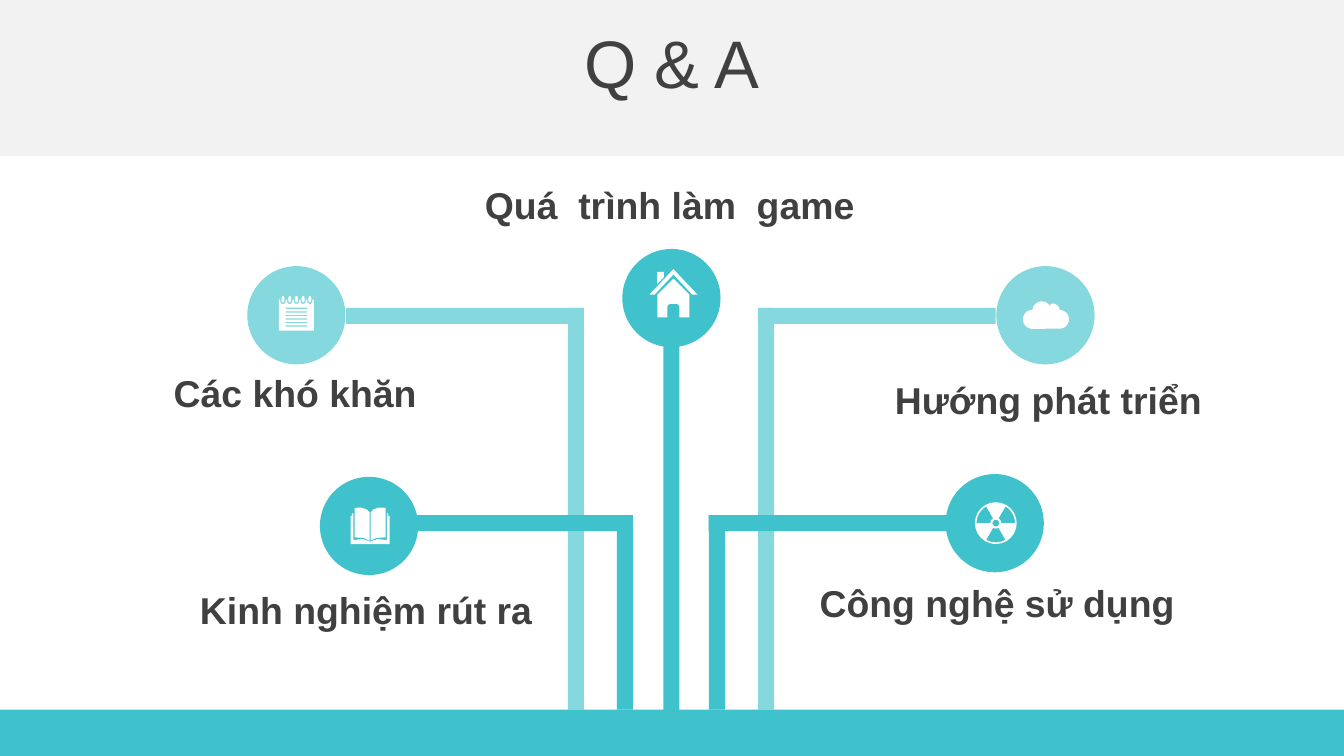
"""Build a Q & A slide with five topics branching up from a ground band."""
from math import cos, radians, sin

from pptx import Presentation
from pptx.dml.color import RGBColor
from pptx.enum.shapes import MSO_SHAPE as Preset
from pptx.enum.text import MSO_ANCHOR as Anchor, MSO_AUTO_SIZE as AutoSize, PP_ALIGN as Align
from pptx.util import Pt

WIDTH, HEIGHT = 720, 405
GROUND = 380.2
DISC, BAR, ARM = 52.6, 8.6, 127.4
TEAL, PALE, GREY, INK, WHITE = "3FC2CB", "85D8DE", "F2F2F2", "404040", "FFFFFF"

TITLE = ("Q & A", (0, 10.1, WIDTH, 45.4))
BRANCHES = [
    dict(label="Các khó khăn", box=(28.1, 194.4, 202.3, 31.7), align=Align.RIGHT,
         disc=(132.5, 142.6), stem=304.2, arm=164.9, color=PALE, icon="notepad"),
    dict(label="Hướng phát triển", box=(472.3, 198.2, 202.3, 31.7), align=Align.LEFT,
         disc=(533.8, 142.6), stem=406.1, arm=164.9, color=PALE, icon="cloud"),
    dict(label="Công nghệ sử dụng", box=(432, 306.7, 232.6, 31.7), align=Align.LEFT,
         disc=(506.6, 254), stem=379.7, arm=276, color=TEAL, icon="radiation"),
    dict(label="Kinh nghiệm rút ra", box=(90, 310.5, 202.3, 31.7), align=Align.RIGHT,
         disc=(171.4, 255.5), stem=330.5, arm=276, color=TEAL, icon="book"),
]
CENTRE = dict(label="Quá  trình làm  game", box=(252.7, 93.9, 221.8, 31.7), align=Align.LEFT,
              disc=(333.4, 133.4), stem=355.4, color=TEAL, icon="house")


def arc(x, y, radius, start, end, tall=1):
    """Return points along an arc, with angles running clockwise from the right."""
    angles = [radians(start + (end - start) * step / 24) for step in range(25)]
    return [(x + radius * cos(angle), y + radius * tall * sin(angle)) for angle in angles]


def box_outline(left, top, right, bottom):
    """Return the corners of a rectangle."""
    return [(left, top), (right, top), (right, bottom), (left, bottom)]


def notepad():
    """Return a ruled page with five binding rings."""
    rings = [-7.2 + 3.6 * index for index in range(5)]
    notches = [point for x in rings for point in
               [(x - 1.4, -8.3), *arc(x, -7.4, 1.4, 180, 0), (x + 1.4, -8.3)]]
    rules = [box_outline(-5.8, y, 5.8, y + 0.7)
             for y in [-4 + 1.9 * index for index in range(6)]]
    return [[(-9.4, -8.3), *notches, (9.4, -8.3), (9.4, 8.3), (-9.4, 8.3)], *rules,
            *[arc(x, -8.6, 0.8, 0, 360, 2.2) for x in rings]]


def cloud():
    """Return a cloud made of four arcs."""
    return [arc(-7, 2.2, 5.1, 90, 270) + arc(-2, -2.4, 5, 180, 330)
            + arc(4, -2.6, 3.6, 250, 360) + arc(7.6, 2.2, 5, 270, 450)]


def radiation():
    """Return a disc with three sectors and a hub cut out."""
    sectors = [arc(0.6, 0, 10.3, start, start + 60) + arc(0.6, 0, 2.9, start + 60, start)
               for start in (60, 180, 300)]
    return [arc(0.6, 0, 11.2, 0, 360), *sectors, arc(0.6, 0, 1.8, 0, 360)]


def book():
    """Return an open book, mirrored about its spine."""
    page = [(-8.3, -9.7), (-5, -9.9), (-2, -9), (-0.3, -7.4), (-0.3, 7.9), (-3.4, 6.4), (-8.3, 6.1)]
    cover = [(-10.4, -5.4), (-9.7, -5.4), (-9.7, -6.8), (-9, -6.8), (-9, 7.6),
             (-4, 7), (0, 8.4), (0, 9.7), (-10.4, 9.7)]
    return [[(0.6 + side * x, y) for x, y in outline]
            for outline in (page, cover) for side in (1, -1)]


def house():
    """Return walls with a door, a roof and a chimney."""
    door = arc(-0.5, 4.8, 1.6, 180, 270) + arc(2.7, 4.8, 1.6, 270, 360)
    walls = [(1.1, -10.4), (9.7, -1.8), (9.7, 10.4), (4.3, 10.4), *reversed(door),
             (-2.1, 10.4), (-7.5, 10.4), (-7.5, -1.8)]
    roof = [(1.1, -15.5), (14, -1.8), (11.2, -1.8), (1.1, -12.6), (-9, -1.8), (-11.8, -1.8)]
    chimney = [(-7.6, -14), (-4, -14), (-4, -11.2), (-7.6, -7.6)]
    return [walls, roof, chimney]


ICONS = dict(notepad=notepad, cloud=cloud, radiation=radiation, book=book, house=house)


def rgb(color):
    """Turn a hex string into a colour."""
    return RGBColor.from_string(color)


def paint(shape, color):
    """Give a shape a flat fill with no line or shadow."""
    shape.shadow.inherit = False
    shape.fill.solid()
    shape.fill.fore_color.rgb = rgb(color)
    shape.line.fill.background()


def add_block(slide, box, color, preset=Preset.RECTANGLE):
    """Add a flat preset shape."""
    paint(slide.shapes.add_shape(preset, *map(Pt, box)), color)


def add_text(slide, text, box, align, size, bold, auto_size):
    """Add one line of text in a box."""
    frame = slide.shapes.add_textbox(*map(Pt, box)).text_frame
    paragraph = frame.paragraphs[0]
    run = paragraph.add_run()
    formats = [
        (frame, dict(word_wrap=True, vertical_anchor=Anchor.MIDDLE, auto_size=auto_size)),
        (paragraph, dict(alignment=align)),
        (run, dict(text=text)),
        (run.font, dict(name="Arial", size=Pt(size), bold=bold)),
    ]
    for target, values in formats:
        for name, value in values.items():
            setattr(target, name, value)
    run.font.color.rgb = rgb(INK)


def add_disc(slide, topic):
    """Add the disc of a topic."""
    add_block(slide, (*topic["disc"], DISC, DISC), topic["color"], Preset.OVAL)


def add_icon(slide, topic):
    """Add a white icon centred on the disc of a topic."""
    left, top = topic["disc"]
    outlines = [[(Pt(left + DISC / 2 + x), Pt(top + DISC / 2 + y)) for x, y in outline]
                for outline in ICONS[topic["icon"]]()]
    builder = slide.shapes.build_freeform(*outlines[0][0], scale=1.0)
    for outline in outlines:
        builder.move_to(*outline[0])
        builder.add_line_segments(outline[1:], close=True)
    paint(builder.convert_to_shape(), WHITE)


def add_label(slide, topic):
    """Add the label of a topic."""
    add_text(slide, topic["label"], topic["box"], topic["align"], 20, True,
             AutoSize.SHAPE_TO_FIT_TEXT)


def add_branch(slide, topic):
    """Add the stem, arm and disc of a side topic."""
    stem, arm = topic["stem"], topic["arm"]
    arm_left = stem + BAR - ARM if topic["disc"][0] < stem else stem
    add_block(slide, (stem, arm, BAR, GROUND - arm), topic["color"])
    add_block(slide, (arm_left, arm, ARM, BAR), topic["color"])
    add_disc(slide, topic)


def main():
    """Build and save the slide."""
    presentation = Presentation()
    presentation.slide_width, presentation.slide_height = Pt(WIDTH), Pt(HEIGHT)
    slide = presentation.slides.add_slide(presentation.slide_layouts[6])

    add_block(slide, (0, 0, WIDTH, 83.5), GREY)
    add_text(slide, *TITLE, Align.CENTER, 36, False, AutoSize.NONE)
    for add_part in (add_branch, add_label):
        for topic in BRANCHES:
            add_part(slide, topic)
    add_block(slide, (0, GROUND, WIDTH, HEIGHT - GROUND), TEAL)
    for topic in BRANCHES:
        add_icon(slide, topic)

    stem_top = CENTRE["disc"][1] + DISC / 2
    add_block(slide, (CENTRE["stem"], stem_top, BAR, HEIGHT - stem_top), TEAL)
    for add_part in (add_disc, add_icon, add_label):
        add_part(slide, CENTRE)

    presentation.save("out.pptx")


if __name__ == "__main__":
    main()
